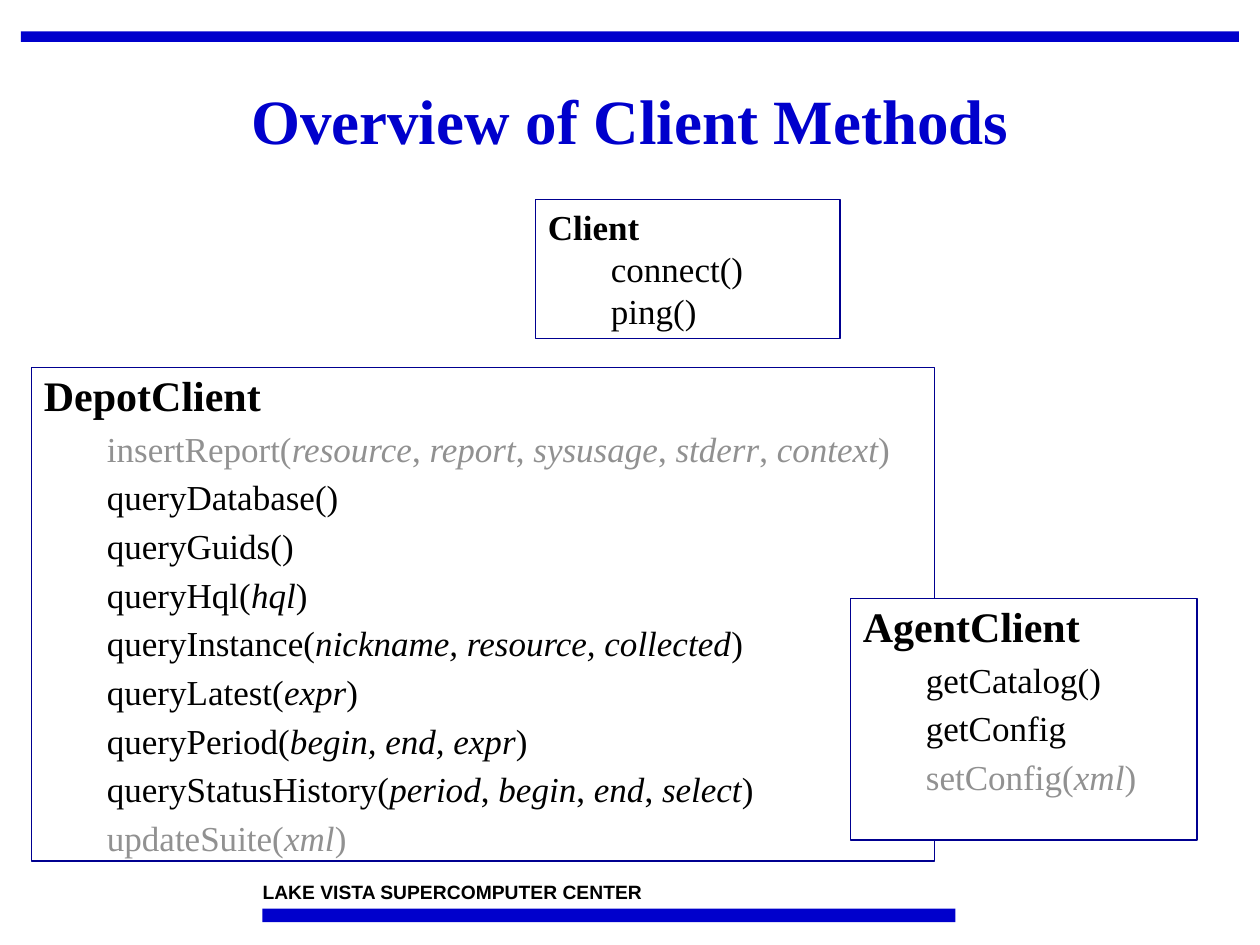
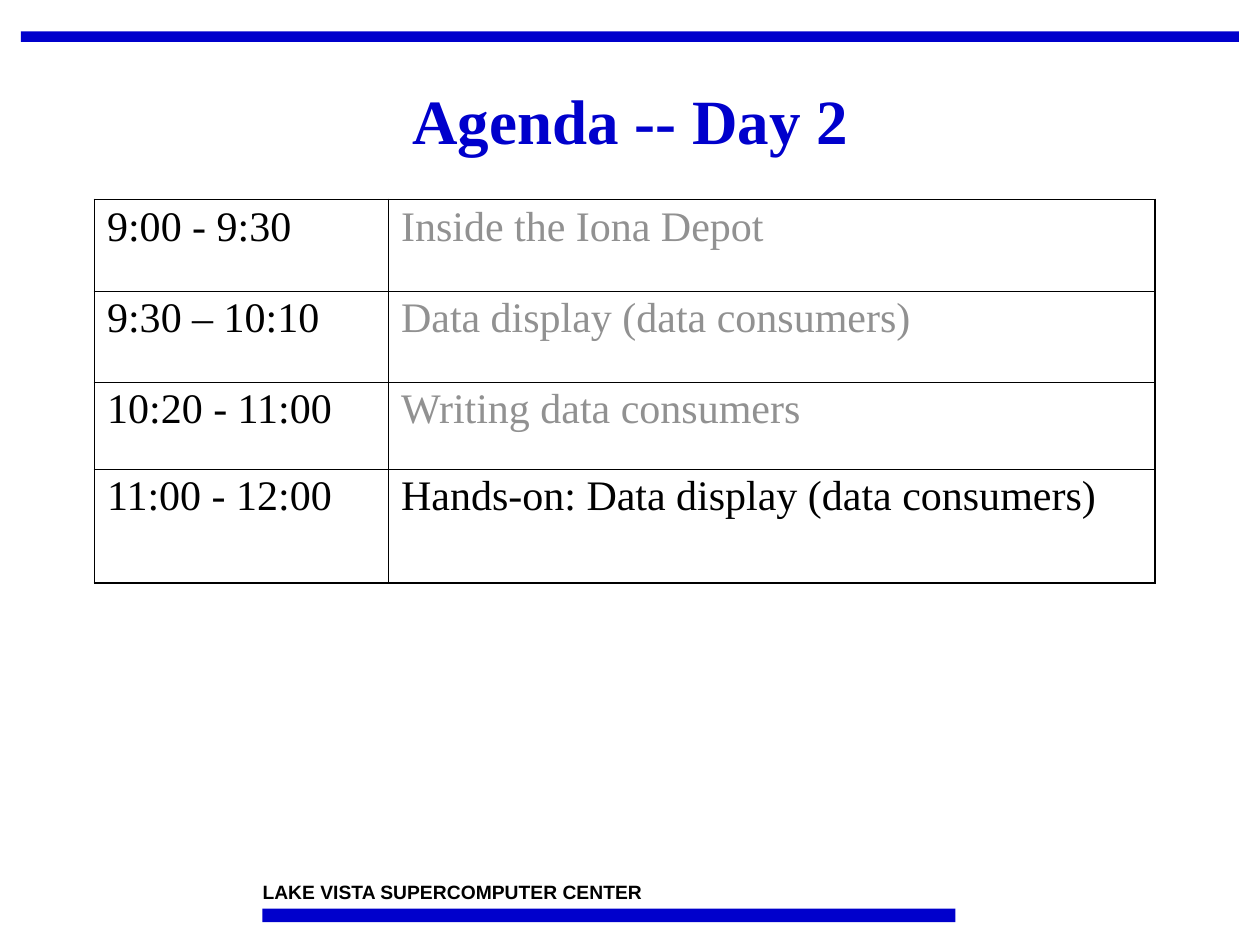
"""Build two training slides: client methods and the day 2 agenda."""
from lxml import etree
from pptx import Presentation
from pptx.dml.color import RGBColor
from pptx.enum.shapes import MSO_SHAPE
from pptx.enum.text import MSO_ANCHOR, PP_ALIGN
from pptx.oxml.ns import qn
from pptx.util import Pt

BLUE = RGBColor(0x00, 0x00, 0xCC)
NAVY = RGBColor(0x00, 0x00, 0x90)
BLACK = RGBColor(0x00, 0x00, 0x00)
WHITE = RGBColor(0xFF, 0xFF, 0xFF)
GREY = RGBColor(0x91, 0x91, 0x91)
SERIF = "Times New Roman"
SANS = "Arial"


def add_rect(slide, left, top, width, height, fill=None, outline=None, weight=1):
    rect = slide.shapes.add_shape(
        MSO_SHAPE.RECTANGLE, Pt(left), Pt(top), Pt(width), Pt(height))
    rect.shadow.inherit = False
    if fill is None:
        rect.fill.background()
    else:
        rect.fill.solid()
        rect.fill.fore_color.rgb = fill
    if outline is None:
        rect.line.fill.background()
    else:
        rect.line.color.rgb = outline
        rect.line.width = Pt(weight)
    return rect


def add_run(paragraph, text, size, color=BLACK, bold=False, italic=False, font=SERIF):
    run = paragraph.add_run()
    run.text = text
    run.font.name = font
    run.font.size = Pt(size)
    run.font.color.rgb = color
    run.font.bold = bold
    run.font.italic = italic


prs = Presentation()
prs.slide_width, prs.slide_height = Pt(720), Pt(540)

slides = []
for heading in ("Overview of Client Methods", "Agenda -- Day 2"):
    slide = prs.slides.add_slide(prs.slide_layouts[6])
    slides.append(slide)
    add_rect(slide, 12, 18, 696, 6, BLUE)
    add_rect(slide, 150, 519.25, 396, 7.75, BLUE)

    footer = slide.shapes.add_textbox(Pt(150), Pt(502.75), Pt(270), Pt(13)).text_frame
    footer.margin_left = footer.margin_top = 0
    footer.margin_right = footer.margin_bottom = 0
    footer.word_wrap = True
    add_run(footer.paragraphs[0], "LAKE VISTA SUPERCOMPUTER CENTER", 11, bold=True, font=SANS)

    title = slide.shapes.add_textbox(Pt(12), Pt(30), Pt(696), Pt(82)).text_frame
    title.word_wrap = True
    title.vertical_anchor = MSO_ANCHOR.MIDDLE
    title.paragraphs[0].alignment = PP_ALIGN.CENTER
    title.paragraphs[0].line_spacing = 0.9
    add_run(title.paragraphs[0], heading, 36, BLUE, bold=True)

methods_slide, agenda_slide = slides

CLIENTS = [
    ("Client", (306, 114, 174, 79.5), None, 0.75, 20, 1.0, 0,
     ["connect()", "ping()"]),
    ("DepotClient", (18, 210, 516, 282), WHITE, 1, 24, 0.95, 5,
     ["insertReport(*resource*, *report*, *sysusage*, *stderr*, *context*)",
      "queryDatabase()",
      "queryGuids()",
      "queryHql(*hql*)",
      "queryInstance(*nickname, resource, collected*)",
      "queryLatest(*expr*)",
      "queryPeriod(*begin, end, expr*)",
      "queryStatusHistory(*period*, *begin*, *end*, *select*)",
      "updateSuite(*xml*)"]),
    ("AgentClient", (486, 342, 198, 138), WHITE, 1, 24, 0.95, 5,
     ["getCatalog()", "getConfig", "setConfig(*xml*)"]),
]
MUTED_METHODS = ("insertReport", "updateSuite", "setConfig")

for name, bounds, fill, weight, name_size, spacing, gap, methods in CLIENTS:
    frame = add_rect(methods_slide, *bounds, fill, NAVY, weight).text_frame
    frame.word_wrap = True
    frame.vertical_anchor = MSO_ANCHOR.TOP
    name_line = frame.paragraphs[0]
    name_line.alignment = PP_ALIGN.LEFT
    name_line.line_spacing = spacing
    add_run(name_line, name, name_size, bold=True)
    for method in methods:
        line = frame.add_paragraph()
        line.alignment = PP_ALIGN.LEFT
        line.line_spacing = spacing
        line.space_before = Pt(gap)
        line._p.get_or_add_pPr().set("marL", str(Pt(36)))
        color = GREY if method.startswith(MUTED_METHODS) else BLACK
        for i, part in enumerate(method.split("*")):
            add_run(line, part, 20, color, italic=i % 2 == 1)

AGENDA = [
    ("9:00 - 9:30", "Inside the Iona Depot", GREY, 52.5),
    ("9:30 – 10:10", "Data display (data consumers)", GREY, 52),
    ("10:20 - 11:00", "Writing data consumers", GREY, 49.5),
    ("11:00 - 12:00", "Hands-on: Data display (data consumers)", BLACK, 65),
]
last_row = len(AGENDA) - 1
agenda = agenda_slide.shapes.add_table(
    len(AGENDA), 2, Pt(54), Pt(114), Pt(606), Pt(219)).table
agenda.first_row = agenda.horz_banding = False
agenda.columns[0].width, agenda.columns[1].width = Pt(168), Pt(438)

for r, (time, topic, topic_color, height) in enumerate(AGENDA):
    agenda.rows[r].height = Pt(height)
    for c, (text, color) in enumerate([(time, BLACK), (topic, topic_color)]):
        cell = agenda.cell(r, c)
        cell.margin_left = cell.margin_right = Pt(7.2)
        cell.margin_top = cell.margin_bottom = Pt(3.6)
        paragraph = cell.text_frame.paragraphs[0]
        paragraph.line_spacing = 0.95
        paragraph.space_before = Pt(6)
        add_run(paragraph, text, 24, color)
        properties = cell._tc.get_or_add_tcPr()
        outer_edges = {"a:lnL": c == 0, "a:lnR": c == 1,
                       "a:lnT": r == 0, "a:lnB": r == last_row}
        for tag, outer in outer_edges.items():
            border = etree.SubElement(
                properties, qn(tag), w=str(Pt(1.08 if outer else 0.45)))
            solid = etree.SubElement(border, qn("a:solidFill"))
            etree.SubElement(solid, qn("a:srgbClr"), val=str(BLACK))
        cell.fill.background()

prs.save("out.pptx")
